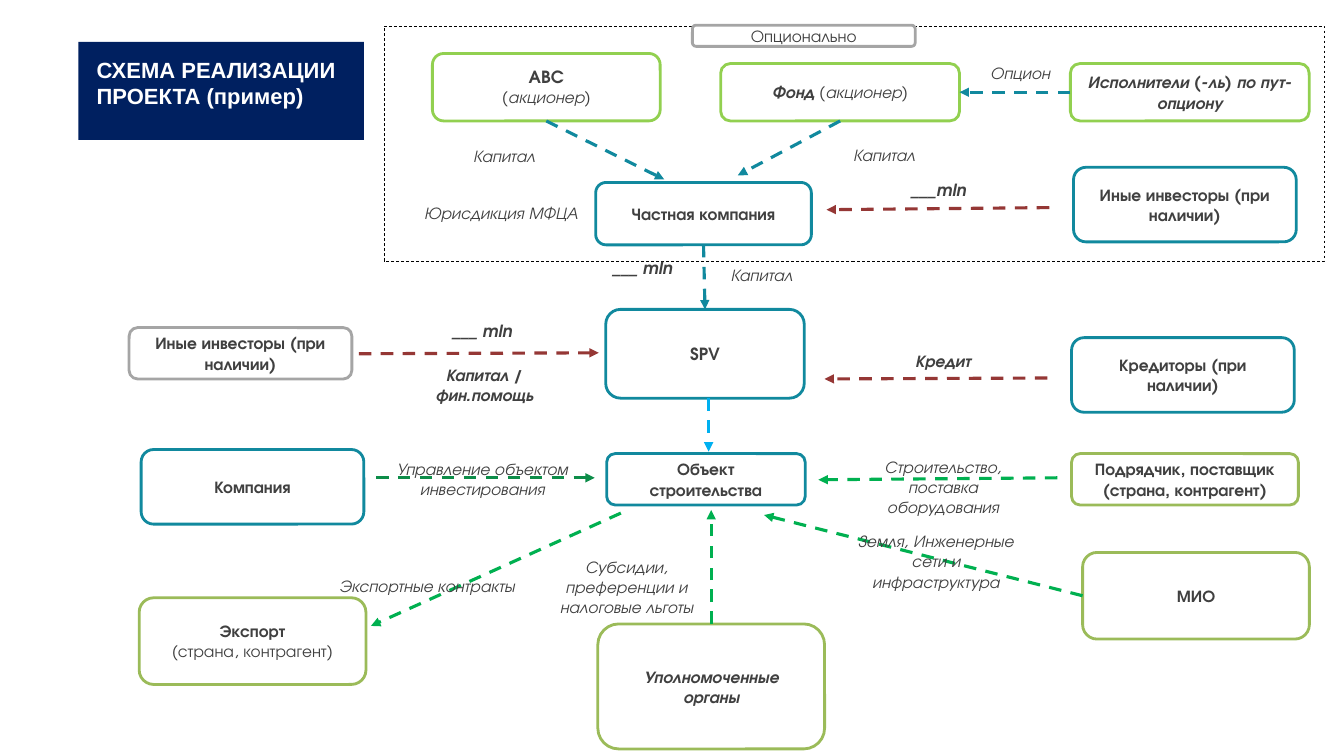
import pptx
import pptx.dml.color
import pptx.enum.dml
import pptx.enum.shapes
import pptx.enum.text
import pptx.oxml.ns
import pptx.util
from lxml import etree

Pt = pptx.util.Pt
Kind = pptx.enum.shapes.MSO_SHAPE
Anchor = pptx.enum.text.MSO_ANCHOR
Align = pptx.enum.text.PP_ALIGN
Fit = pptx.enum.text.MSO_AUTO_SIZE
DASH = pptx.enum.dml.MSO_LINE.DASH
qn = pptx.oxml.ns.qn
rgb = pptx.dml.color.RGBColor.from_string


class Theme:
    navy, white, black, text = "002060", "FFFFFF", "000000", "404040"
    teal, lime, olive, gray = "11899E", "92D050", "9BBB59", "A5A5A5"
    sky, green, pine, red = "00B0F0", "00B050", "0D8D49", "953735"
    font, head = "TeX Gyre Adventor", "Arial"
    body, title = 12, 15.7
    edge, arrow, thin = 2, 2.25, 0.5


def write(frame, paras):
    """Fill a text frame; each run is (text, style), with b and i as style letters."""
    frame.word_wrap = True
    for num, runs in enumerate(paras):
        para = frame.add_paragraph() if num else frame.paragraphs[0]
        para.alignment = Align.CENTER
        for text, style in runs:
            run = para.add_run()
            run.text = text
            run.font.name = Theme.font
            run.font.size = Pt(Theme.body)
            run.font.bold = "b" in style
            run.font.italic = "i" in style
            run.font.color.rgb = rgb(Theme.text)


def draw(kind, place, fill, line, width):
    shape = shapes.add_shape(kind, *map(Pt, place))
    shape.shadow.inherit = False
    if fill:
        shape.fill.solid()
        shape.fill.fore_color.rgb = rgb(fill)
    else:
        shape.fill.background()
    if line:
        shape.line.color.rgb = rgb(line)
        shape.line.width = Pt(width)
    else:
        shape.line.fill.background()
    return shape


deck = pptx.Presentation()
deck.slide_width, deck.slide_height = Pt(960), Pt(540)
slide = deck.slides.add_slide(deck.slide_layouts[5])
shapes = slide.shapes

# Heading on its navy panel
title = shapes.title
panel = draw(Kind.RECTANGLE, (56, 30, 204, 70), Theme.navy, None, 0)
title.element.addprevious(panel.element)
title.left, title.top, title.width, title.height = map(Pt, (67.7, 38.9, 188.6, 38.9))
head = title.text_frame
head.word_wrap = True
head.auto_size = Fit.NONE
head.vertical_anchor = Anchor.TOP
head.margin_left, head.margin_top = Pt(1.4), Pt(1.4)
head.margin_right = head.margin_bottom = 0
head.paragraphs[0].alignment = Align.LEFT
run = head.paragraphs[0].add_run()
run.text = "СХЕМА РЕАЛИЗАЦИИ ПРОЕКТА (пример)"
run.font.name = Theme.head
run.font.size = Pt(Theme.title)
run.font.bold = True
run.font.color.rgb = rgb(Theme.white)

# Dashed frame around the optional part
frame = draw(Kind.RECTANGLE, (274.3, 18.7, 671.8, 167.8), None, Theme.black, Theme.thin)
frame.line.dash_style = DASH

# Parties: key, place, edge colour, paragraphs
others = [[("Иные инвесторы (при наличии)", "b")]]
parties = [
    ("abc", (308.9, 38.2, 162.7, 48.2), Theme.lime,
     [[("ABC", "b")], [("(акционер)", "i")]]),
    ("fund", (514.8, 45.4, 170.6, 41), Theme.lime,
     [[("Фонд ", "bi"), ("(акционер)", "i")]]),
    ("put", (764.6, 45.4, 170.6, 41), Theme.lime,
     [[("Исполнители (-ль) по пут-опциону", "bi")]]),
    ("private", (425.5, 130.3, 154.1, 44.6), Theme.teal, [[("Частная компания", "b")]]),
    ("right", (766.8, 119.5, 159.1, 53.3), Theme.teal, others),
    ("left", (92.2, 234, 159.1, 36.7), Theme.gray, others),
    ("spv", (432.7, 221, 141.8, 63.4), Theme.teal, [[("SPV", "b")]]),
    ("lender", (765.4, 241.2, 159.1, 53.3), Theme.teal,
     [[("Кредиторы (при наличии)", "b")]]),
    ("firm", (100.8, 321.1, 159.1, 53.3), Theme.teal, [[("Компания", "b")]]),
    ("site", (433.4, 324, 141.8, 36.7), Theme.teal, [[("Объект строительства", "b")]]),
    ("builder", (765.4, 324, 162, 36.7), Theme.olive,
     [[("Подрядчик, поставщик (страна, контрагент)", "b")]]),
    ("export", (99.4, 427, 162, 61.9), Theme.olive,
     [[("Экспорт", "b")], [("(страна, контрагент)", "")]]),
    ("state", (427, 445.7, 162, 89.3), Theme.olive, [[("Уполномоченные органы", "bi")]]),
    ("mio", (773.3, 394.6, 162, 61.9), Theme.olive, [[("МИО", "b")]]),
    ("option", (494.6, 18, 159.1, 15.1), Theme.gray, [[("Опционально", "")]]),
]
boxes = {}
for key, place, edge, paras in parties:
    box = draw(Kind.ROUNDED_RECTANGLE, place, Theme.white, edge, Theme.edge)
    box.text_frame.vertical_anchor = Anchor.MIDDLE
    write(box.text_frame, paras)
    boxes[key] = box

# Flows: colour, from, to; an end is a point or a party with its side
TOP, LEFT, BOTTOM, RIGHT = range(4)
flows = [
    (Theme.teal, ("abc", BOTTOM), (474.5, 128.2)),
    (Theme.teal, ("fund", BOTTOM), (527, 125.3)),
    (Theme.teal, ("put", LEFT), ("fund", RIGHT)),
    (Theme.teal, ("private", BOTTOM), ("spv", TOP)),
    (Theme.sky, (506.2, 284.4), (506.2, 322.6)),
    (Theme.red, (749.5, 148.3), (590.4, 149.8)),
    (Theme.red, (256.3, 252.7), (427.7, 252)),
    (Theme.red, (748.1, 270), (589, 270.7)),
    (Theme.pine, (268.6, 341.3), (424.8, 341.3)),
    (Theme.green, (755.3, 341.3), (584.6, 342.7)),
    (Theme.green, ("mio", LEFT), (545.8, 367.9)),
    (Theme.green, ("state", TOP), (508, 364.3)),
    (Theme.green, (443.5, 366.5), (265, 447.1)),
]
for color, start, end in flows:
    spots = [(0, 0) if spot[0] in boxes else spot for spot in (start, end)]
    flow = shapes.add_connector(pptx.enum.shapes.MSO_CONNECTOR.STRAIGHT,
                                *map(Pt, spots[0] + spots[1]))
    for spot, join in ((start, flow.begin_connect), (end, flow.end_connect)):
        if spot[0] in boxes:
            join(boxes[spot[0]], spot[1])
    flow.line.color.rgb = rgb(color)
    flow.line.width = Pt(Theme.arrow)
    flow.line.dash_style = DASH
    props = flow.element.spPr
    etree.SubElement(props.find(qn("a:ln")), qn("a:tailEnd"), type="triangle")
    etree.SubElement(props, qn("a:effectLst"))

# Flow labels: text, style, left, top, width, number of lines
labels = [
    ("Капитал", "i", 274.3, 100.8, 171.4, 1),
    ("Капитал", "i", 545.8, 100.1, 171.4, 1),
    ("Капитал", "i", 488.2, 185.8, 111.6, 1),
    ("Опцион", "i", 643, 41, 171.4, 1),
    ("Юрисдикция МФЦА", "i", 272.2, 141.1, 171.4, 1),
    ("___mln", "bi", 618.5, 124.6, 104.4, 1),
    ("___ mln", "bi", 407, 180.7, 104.4, 1),
    ("___ mln", "bi", 292.5, 225.4, 104.4, 1),
    ("Капитал / фин.помощь", "bi", 290.2, 257, 111.6, 2),
    ("Кредит", "bi", 621.4, 247, 104.4, 1),
    ("Управление объектом инвестирования", "i", 274.3, 324, 140.4, 2),
    ("Строительство, поставка оборудования", "i", 603.4, 322.6, 140.4, 3),
    ("Земля, Инженерные сети и инфраструктура", "i", 598.3, 375.8, 140.4, 3),
    ("Субсидии, преференции и налоговые льготы", "i", 377.3, 393.8, 140.4, 3),
    ("Экспортные контракты", "i", 234.7, 407.5, 140.4, 1),
]
for text, style, left, top, width, rows in labels:
    label = shapes.add_textbox(Pt(left), Pt(top), Pt(width), Pt(7.2 + 14.4 * rows))
    label.text_frame.auto_size = Fit.SHAPE_TO_FIT_TEXT
    write(label.text_frame, [[(text, style)]])

deck.save("out.pptx")
